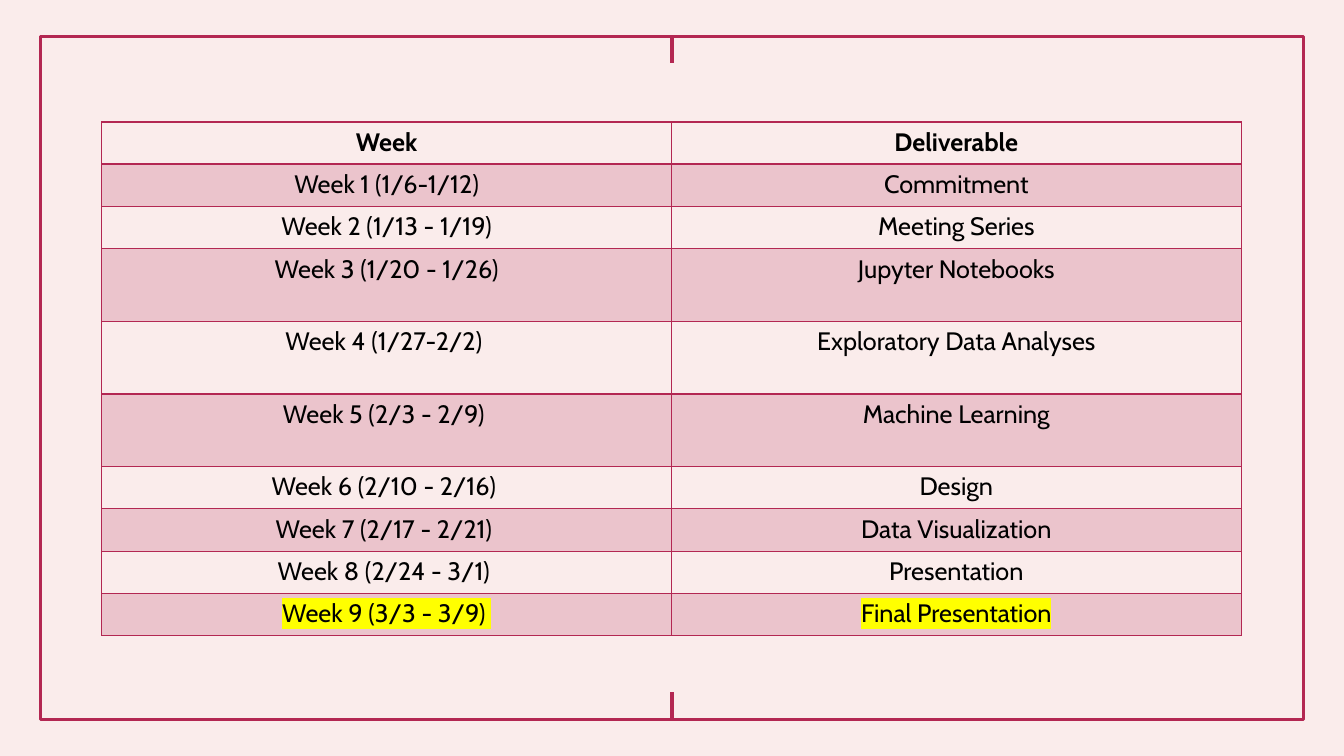
from lxml import etree
from pptx import Presentation
from pptx import util as u
from pptx.dml.color import RGBColor
from pptx.enum import shapes, text
from pptx.oxml import ns

CRIMSON = RGBColor(0xB3, 0x27, 0x52)
BLUSH = RGBColor(0xFA, 0xEC, 0xEB)
BLACK = RGBColor(0, 0, 0)
YELLOW = RGBColor(0xFF, 0xFF, 0x00)

WIDTH, HEIGHT = u.Inches(13.33), u.Inches(7.5)
MARGIN_X, MARGIN_Y = u.Inches(0.4), u.Inches(0.36)
TICK = u.Inches(0.27)
TABLE_LEFT, TABLE_TOP = u.Inches(1.01), u.Inches(1.21)
COLUMN = u.Inches(5.65)
SHORT_ROW, TALL_ROW = u.Inches(0.42), u.Inches(0.72)
TALL_WEEKS = (3, 4, 5)

SCHEDULE = [
    ("Week", "Deliverable"),
    ("Week 1 (1/6-1/12)", "Commitment"),
    ("Week 2 (1/13 - 1/19)", "Meeting Series"),
    ("Week 3 (1/20 - 1/26)", "Jupyter Notebooks"),
    ("Week 4 (1/27-2/2) ", "Exploratory Data Analyses"),
    ("Week 5 (2/3 - 2/9) ", "Machine Learning"),
    ("Week 6 (2/10 - 2/16) ", "Design"),
    ("Week 7 (2/17 - 2/21) ", "Data Visualization"),
    ("Week 8 (2/24 - 3/1) ", "Presentation"),
    ("Week 9 (3/3 - 3/9) ", "Final Presentation"),
]
FINAL_WEEK = len(SCHEDULE) - 1


def add_color(parent, tag, color):
    holder = etree.SubElement(parent, ns.qn(tag))
    return etree.SubElement(holder, ns.qn("a:srgbClr"), val=str(color))


def add_frame(slide):
    frame = slide.shapes.add_shape(
        shapes.MSO_SHAPE.RECTANGLE, MARGIN_X, MARGIN_Y,
        WIDTH - 2 * MARGIN_X, HEIGHT - 2 * MARGIN_Y)
    frame.shadow.inherit = False
    frame.fill.background()
    frame.line.color.rgb = CRIMSON
    frame.line.width = u.Pt(2.25)


def add_tick(slide, start, end):
    tick = slide.shapes.add_connector(
        shapes.MSO_CONNECTOR.STRAIGHT, WIDTH // 2, start, WIDTH // 2, end)
    tick.line.color.rgb = CRIMSON
    tick.line.width = u.Pt(2.25)
    etree.SubElement(tick._element.spPr, ns.qn("a:effectLst"))


def set_borders(cell, top, bottom):
    properties = cell._tc.get_or_add_tcPr()
    sides = (("a:lnL", 1), ("a:lnR", 1), ("a:lnT", top), ("a:lnB", bottom))
    for position, (side, points) in enumerate(sides):
        border = etree.Element(ns.qn(side), w=str(u.Pt(points)))
        add_color(border, "a:solidFill", CRIMSON)
        properties.insert(position, border)


def fill_cell(cell, week):
    if week % 2 == 0:
        cell.fill.background()
        return
    cell.fill.solid()
    cell.fill.fore_color.rgb = CRIMSON
    tint = cell._tc.tcPr.find(".//" + ns.qn("a:srgbClr"))
    etree.SubElement(tint, ns.qn("a:alpha"), val="20000")


def write_cell(cell, words, week):
    paragraph = cell.text_frame.paragraphs[0]
    paragraph.alignment = text.PP_ALIGN.CENTER
    paragraph.font.name = "Cabin"
    paragraph.font.size = u.Pt(18)
    paragraph.font.bold = week == 0
    paragraph.font.color.rgb = BLACK
    entry = paragraph.add_run()
    entry.text = words
    if week == FINAL_WEEK:
        add_color(entry._r.get_or_add_rPr(), "a:highlight", YELLOW)


def add_schedule(slide):
    heights = [TALL_ROW if week in TALL_WEEKS else SHORT_ROW
               for week in range(len(SCHEDULE))]
    schedule = slide.shapes.add_table(
        len(SCHEDULE), 2, TABLE_LEFT, TABLE_TOP, 2 * COLUMN, sum(heights)).table
    schedule.first_row = schedule.horz_banding = False
    for column in schedule.columns:
        column.width = COLUMN
    for week, entries in enumerate(SCHEDULE):
        schedule.rows[week].height = heights[week]
        for column, words in enumerate(entries):
            cell = schedule.cell(week, column)
            write_cell(cell, words, week)
            fill_cell(cell, week)
            set_borders(cell, top=2 if week == 1 else 1, bottom=2 if week == 0 else 1)


def main():
    deck = Presentation()
    deck.slide_width, deck.slide_height = WIDTH, HEIGHT
    slide = deck.slides.add_slide(deck.slide_layouts[6])
    slide.background.fill.solid()
    slide.background.fill.fore_color.rgb = BLUSH
    add_frame(slide)
    add_tick(slide, MARGIN_Y, MARGIN_Y + TICK)
    add_tick(slide, HEIGHT - MARGIN_Y - TICK, HEIGHT - MARGIN_Y)
    add_schedule(slide)
    deck.save("out.pptx")


if __name__ == "__main__":
    main()
